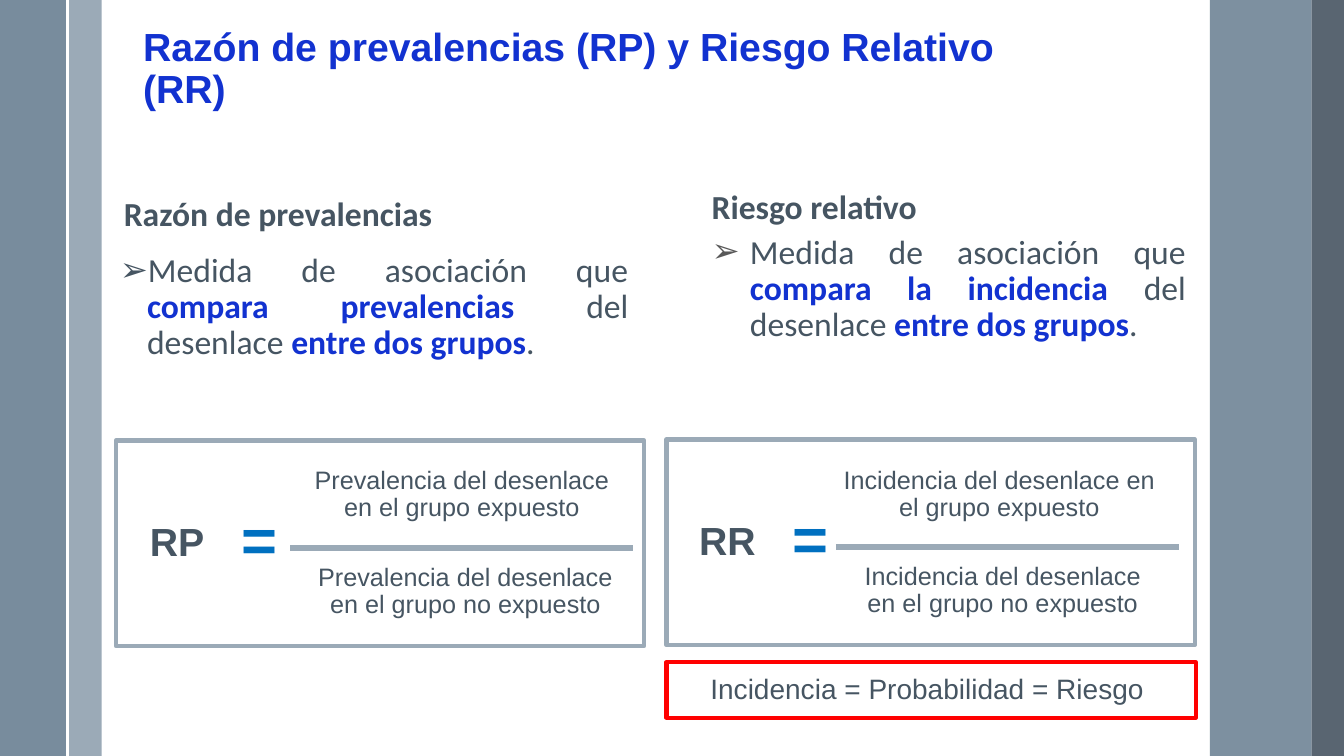
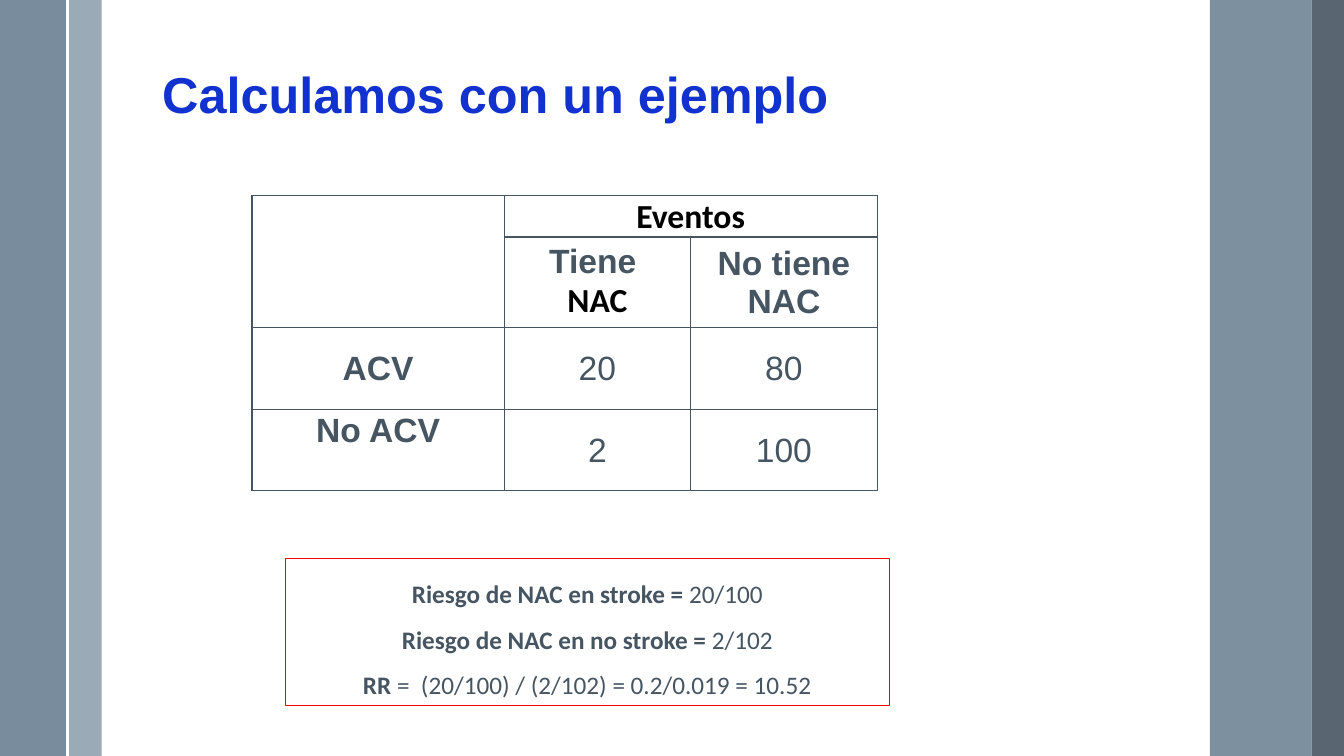
from dataclasses import dataclass
from typing import NamedTuple, Optional

from lxml.etree import SubElement
from pptx import Presentation
from pptx.dml.color import RGBColor
from pptx.enum.shapes import MSO_CONNECTOR, MSO_SHAPE
from pptx.enum.text import MSO_ANCHOR, PP_ALIGN
from pptx.oxml.ns import qn
from pptx.util import Inches, Pt


@dataclass(frozen=True)
class Theme:
    ink: str = "465562"
    blue: str = "1232D0"
    equal: str = "0070C0"
    mist: str = "9BAAB7"
    slate: str = "6A8093"
    steel: str = "475562"
    gray: str = "595959"
    red: str = "FF0000"
    white: str = "FFFFFF"
    black: str = "000000"
    sans: str = "Arial"
    body: str = "Calibri"
    sign: int = 44
    head: int = 36
    large: int = 28
    text: int = 24
    note: int = 20
    small: int = 18


T = Theme()


class Box(NamedTuple):
    left: float
    top: float
    width: float
    height: float

    def size(self) -> list:
        return [Inches(side) for side in self]


class Run(NamedTuple):
    text: str
    bold: Optional[bool] = None
    color: Optional[str] = None


@dataclass(frozen=True)
class Para:
    runs: tuple
    size: int = T.text
    font: str = T.sans
    color: str = T.ink
    bold: bool = False
    align: PP_ALIGN = PP_ALIGN.CENTER
    line: float = 0.9
    before: float = 0
    margin: float = 0
    indent: float = 0
    bullet: Optional[str] = None


class Band(NamedTuple):
    left: float
    width: float
    color: str
    alpha: int


@dataclass(frozen=True)
class Ratio:
    name: str
    left: float
    top: float
    frac: float
    bar: float
    over: str
    under: str


BANDS = (
    Band(0.68, 0.33, T.mist, 100),
    Band(0, 0.67, T.slate, 90),
    Band(12, 1.01, T.slate, 87),
    Band(13.01, 0.33, T.steel, 90),
)

RATIOS = (
    Ratio("RP", 1.15, 4.37, 2.89, 2.88,
          "Prevalencia del desenlace en el grupo expuesto",
          "Prevalencia del desenlace en el grupo no expuesto"),
    Ratio("RR", 6.61, 4.36, 8.22, 8.29,
          "Incidencia del desenlace en el grupo expuesto",
          "Incidencia del desenlace en el grupo no expuesto"),
)


def rgb(color: str) -> RGBColor:
    return RGBColor.from_string(color)


# Text
def fill_text(frame, paras: tuple) -> None:
    for num, item in enumerate(paras):
        para = frame.add_paragraph() if num else frame.paragraphs[0]
        para.alignment = item.align
        para.line_spacing = item.line
        if num and item.before:
            para.space_before = Pt(item.before)
        props = para._p.get_or_add_pPr()
        props.set("marL", str(Inches(item.margin)))
        props.set("indent", str(Inches(item.indent)))
        if item.bullet:
            tint = SubElement(props, qn("a:buClr"))
            SubElement(tint, qn("a:srgbClr"), val=item.bullet)
            SubElement(props, qn("a:buFont"), typeface=T.sans)
            SubElement(props, qn("a:buChar"), char="➢")
        font = para.font
        font.name, font.size, font.bold = item.font, Pt(item.size), item.bold
        font.color.rgb = rgb(item.color)
        for part in item.runs:
            run = para.add_run()
            run.text = part.text
            if part.bold is not None:
                run.font.bold = part.bold
            if part.color:
                run.font.color.rgb = rgb(part.color)


def add_text(slide, box: Box, *paras: Para, anchor=MSO_ANCHOR.TOP) -> None:
    frame = slide.shapes.add_textbox(*box.size()).text_frame
    frame.word_wrap = True
    frame.vertical_anchor = anchor
    fill_text(frame, paras)


def add_title(slide, box: Box, text: str, size: int, anchor) -> None:
    add_text(slide, box, Para((Run(text),), size, color=T.blue, bold=True,
                              align=PP_ALIGN.LEFT), anchor=anchor)


# Shapes and lines
def add_rect(slide, box: Box):
    rect = slide.shapes.add_shape(MSO_SHAPE.RECTANGLE, *box.size())
    rect.shadow.inherit = False
    return rect


def add_frame(slide, box: Box, color: str, width: float, *paras: Para,
              anchor=MSO_ANCHOR.MIDDLE) -> None:
    rect = add_rect(slide, box)
    rect.fill.background()
    rect.line.color.rgb = rgb(color)
    rect.line.width = Pt(width)
    rect.text_frame.word_wrap = True
    rect.text_frame.vertical_anchor = anchor
    fill_text(rect.text_frame, paras)


def add_line(slide, start: tuple, end: tuple, color: str, width: float) -> None:
    ends = [Inches(pos) for pos in (*start, *end)]
    line = slide.shapes.add_connector(MSO_CONNECTOR.STRAIGHT, *ends)
    line.line.color.rgb = rgb(color)
    line.line.width = Pt(width)
    SubElement(line._element.spPr, qn("a:effectLst"))


def add_slide(deck):
    slide = deck.slides.add_slide(deck.slide_layouts[6])
    for band in BANDS:
        rect = add_rect(slide, Box(band.left, 0, band.width, 7.5))
        rect.fill.solid()
        rect.fill.fore_color.rgb = rgb(band.color)
        rect.line.fill.background()
        if band.alpha < 100:
            tint = rect._element.spPr.find(".//" + qn("a:srgbClr"))
            SubElement(tint, qn("a:alpha"), val=str(band.alpha * 1000))
    add_line(slide, (0.67, 0), (0.67, 7.5), T.white, 1.5)
    return slide


# Measures slide
def add_ratio(slide, ratio: Ratio) -> None:
    left, top = ratio.left, ratio.top
    add_frame(slide, Box(left, top, 5.24, 2.04), T.mist, 3)
    add_text(slide, Box(left + 0.11, top + 0.68, 0.99, 0.68),
             Para((Run(ratio.name),), T.large, bold=True),
             anchor=MSO_ANCHOR.MIDDLE)
    add_text(slide, Box(left + 1.15, top + 0.55, 0.39, 0.84),
             Para((Run("="),), T.sign, color=T.equal, bold=True, line=1))
    add_text(slide, Box(ratio.frac, 4.59, 3.38, 0.68),
             Para((Run(ratio.over),), T.small))
    add_text(slide, Box(ratio.frac + 0.14, top + 1.18, 3.17, 0.75),
             Para((Run(ratio.under),), T.small))
    mid = top + 1.07
    add_line(slide, (ratio.bar, mid), (ratio.bar + 3.4, mid), T.mist, 4.5)


def add_define(slide, box: Box, head: str, key: str, gap: float,
               margin: float, indent: float, bullet: str) -> None:
    side = PP_ALIGN.JUSTIFY
    runs = (Run("Medida de asociación que "), Run(key, True, T.blue),
            Run("del desenlace "), Run("entre dos grupos", True, T.blue),
            Run("."))
    add_text(slide, box,
             Para((Run(head),), font=T.body, bold=True, align=side,
                  margin=0.04),
             Para(runs, font=T.body, align=side, before=gap, margin=margin,
                  indent=indent, bullet=bullet))


def draw_terms(deck) -> None:
    slide = add_slide(deck)
    add_title(slide, Box(1.32, 0.7, 8.99, 0.46),
              "Razón de prevalencias (RP) y Riesgo Relativo (RR)",
              T.large, MSO_ANCHOR.BOTTOM)
    add_define(slide, Box(1.09, 1.91, 5.24, 2.61), "Razón de prevalencias",
               "compara prevalencias ", 14, 0.27, -0.27, T.ink)
    add_define(slide, Box(6.92, 1.84, 4.94, 2.47), "Riesgo relativo",
               "compara la incidencia ", 6, 0.42, -0.38, T.gray)
    for ratio in RATIOS:
        add_ratio(slide, ratio)
    add_frame(slide, Box(6.61, 6.57, 5.25, 0.55), T.red, 3,
              Para((Run("Incidencia = Probabilidad = Riesgo "),), T.note))


# Example slide
def style_cell(cell) -> None:
    cell.margin_left = cell.margin_right = cell.margin_top = Inches(0.01)
    cell.margin_bottom = 0
    cell.vertical_anchor = MSO_ANCHOR.MIDDLE
    props = cell._tc.get_or_add_tcPr()
    for side in ("lnL", "lnR", "lnT", "lnB"):
        edge = SubElement(props, qn("a:" + side), w=str(Pt(1)))
        paint = SubElement(edge, qn("a:solidFill"))
        SubElement(paint, qn("a:srgbClr"), val=T.ink)
    cell.fill.solid()
    cell.fill.fore_color.rgb = rgb(T.white)


def add_grid(slide) -> None:
    def word(text: str, bold: bool = True, font: str = T.sans,
             color: str = T.ink) -> Para:
        return Para((Run(text),), font=font, color=color, bold=bold, line=1)

    rows = (
        ((), (word("Eventos", font=T.body, color=T.black),), ()),
        ((), (word("Tiene "), word("NAC", font=T.body, color=T.black)),
         (word("No tiene NAC"),)),
        ((word("ACV"),), (word("20", False),), (word("80", False),)),
        ((word("No ACV"),), (word("2", False),), (word("100", False),)),
    )
    box = Box(2.5, 1.94, 6.2, 2.93)
    grid = slide.shapes.add_table(4, 3, *box.size()).table
    grid.first_row = grid.horz_banding = False
    for col, width in zip(grid.columns, (2.5, 1.85, 1.85)):
        col.width = Inches(width)
    for row, high in zip(grid.rows, (0.41, 0.9, 0.81, 0.81)):
        row.height = Inches(high)
    for y, line in enumerate(rows):
        for x, paras in enumerate(line):
            cell = grid.cell(y, x)
            style_cell(cell)
            fill_text(cell.text_frame, paras)
    grid.cell(0, 0).merge(grid.cell(1, 0))
    grid.cell(0, 1).merge(grid.cell(0, 2))
    # The last row label sits one line higher
    grid.cell(3, 0).margin_bottom = Inches(0.39)


def draw_case(deck) -> None:
    slide = add_slide(deck)
    add_title(slide, Box(1.51, 0.73, 8.18, 0.46), "Calculamos con un ejemplo",
              T.head, MSO_ANCHOR.MIDDLE)
    add_grid(slide)
    sums = (
        ("Riesgo de NAC en stroke = ", "20/100"),
        ("Riesgo de NAC en no stroke = ", "2/102"),
        ("RR", " =  (20/100) / (2/102) = 0.2/0.019 = 10.52"),
    )
    paras = [Para((Run(name, True), Run(value)), T.small, T.body, line=1.5)
             for name, value in sums]
    add_frame(slide, Box(2.83, 5.54, 5.99, 1.46), T.red, 0.75, *paras,
              anchor=MSO_ANCHOR.TOP)


def main() -> None:
    deck = Presentation()
    deck.slide_width, deck.slide_height = Inches(13.33), Inches(7.5)
    draw_terms(deck)
    draw_case(deck)
    deck.save("out.pptx")


if __name__ == "__main__":
    main()
